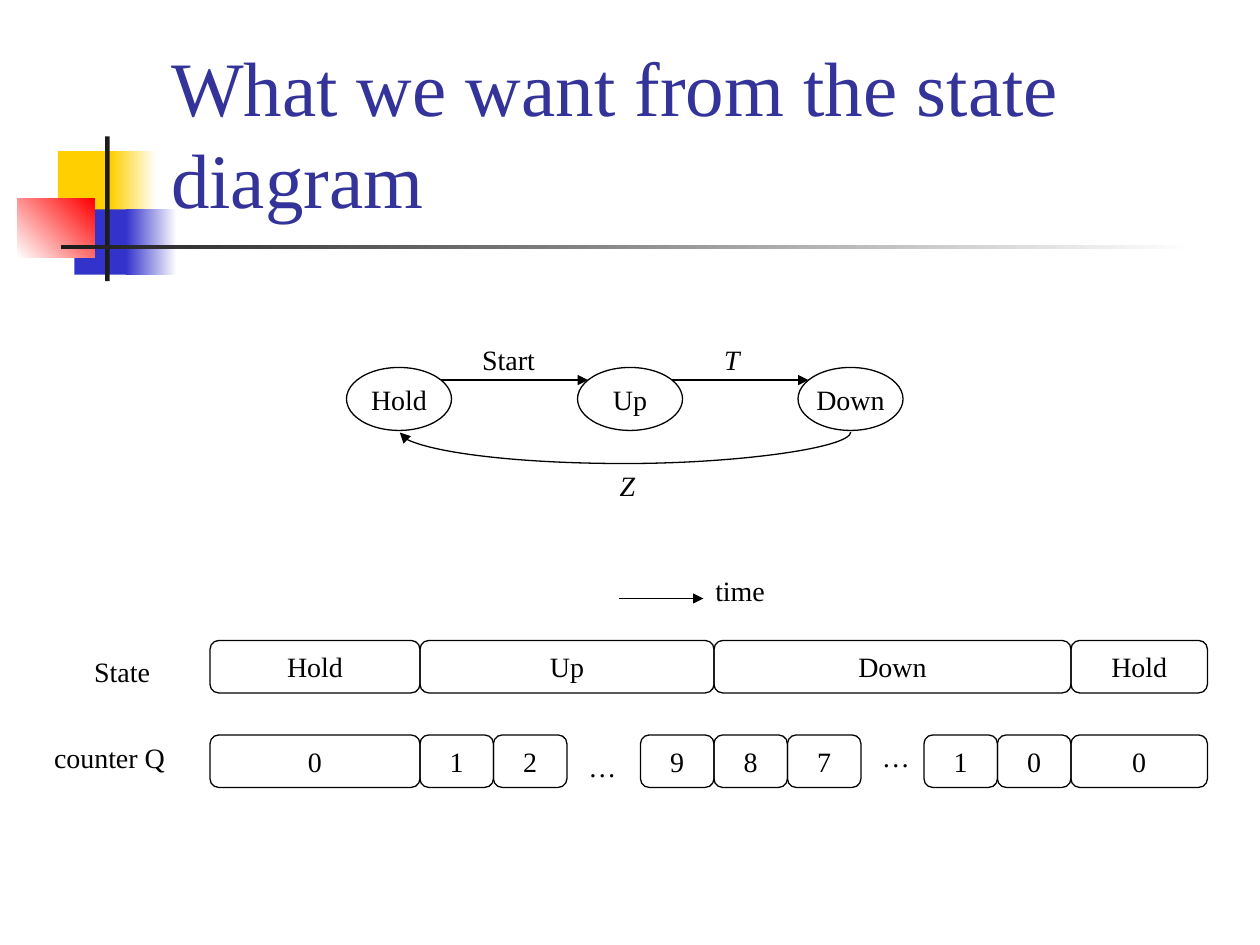
from lxml import etree
from pptx import Presentation
from pptx.dml.color import RGBColor
from pptx.enum.shapes import MSO_CONNECTOR as CONN, MSO_SHAPE as SHAPE
from pptx.enum.text import MSO_ANCHOR as ANCHOR, MSO_AUTO_SIZE as AUTO, PP_ALIGN as ALIGN
from pptx.oxml.ns import qn
from pptx.util import Cm, Pt

GRID = 2.54 / 12  # the diagram sits on a grid of twelfths of an inch


def rgb(color):
    return RGBColor.from_string(color)


def grid(*units):
    return [n * GRID for n in units]


class Deck:
    font, size, ink, weight = "Times New Roman", 16, "000000", 0.75

    def __init__(self, width, height):
        self.prs = Presentation()
        self.prs.slide_width, self.prs.slide_height = Cm(width), Cm(height)
        self.s = self.prs.slides.add_slide(self.prs.slide_layouts[6])

    def add_run(self, sp, text, align=ALIGN.LEFT, **style):
        p = sp.text_frame.paragraphs[0]
        p.alignment = align
        r = p.add_run()
        r.text = text
        look = {"name": self.font, "size": Pt(self.size), **style}
        r.font.color.rgb = rgb(look.pop("color", self.ink))
        for key, value in look.items():
            setattr(r.font, key, value)

    def format_frame(self, sp, **values):
        for key, value in values.items():
            setattr(sp.text_frame, key, value)

    def text(self, box, text, **style):
        sp = self.s.shapes.add_textbox(*map(Cm, box))
        self.format_frame(sp, word_wrap=False, auto_size=AUTO.SHAPE_TO_FIT_TEXT)
        self.add_run(sp, text, **style)

    def title(self, box, text, **style):
        sp = self.s.shapes.add_textbox(*map(Cm, box))
        self.format_frame(sp, word_wrap=True, auto_size=AUTO.NONE,
                          vertical_anchor=ANCHOR.BOTTOM)
        self.add_run(sp, text, **style)

    def block(self, box, *colors, angle=0):
        sp = self.s.shapes.add_shape(SHAPE.RECTANGLE, *map(Cm, box))
        sp.shadow.inherit = False
        sp.line.fill.background()
        if len(colors) == 1:
            sp.fill.solid()
            sp.fill.fore_color.rgb = rgb(colors[0])
        else:
            sp.fill.gradient()
            sp.fill.gradient_angle = angle
            for stop, color in zip(sp.fill.gradient_stops, colors):
                stop.color.rgb = rgb(color)

    def node(self, kind, box, text):
        sp = self.s.shapes.add_shape(kind, *map(Cm, box))
        sp.shadow.inherit = False
        sp.fill.background()
        sp.line.color.rgb, sp.line.width = rgb(self.ink), Pt(self.weight)
        self.format_frame(sp, word_wrap=False, vertical_anchor=ANCHOR.MIDDLE)
        self.add_run(sp, text, ALIGN.CENTER)

    def arrow(self, ends, kind=CONN.STRAIGHT):
        c = self.s.shapes.add_connector(kind, *map(Cm, ends))
        c.line.color.rgb, c.line.width = rgb(self.ink), Pt(self.weight)
        spPr = c.element.spPr
        etree.SubElement(spPr.find(qn("a:ln")), qn("a:tailEnd"), type="triangle")
        etree.SubElement(spPr, qn("a:effectLst"))
        return c

    def loop(self, ends, bend):
        """Curve turned a quarter, so that it hangs below both of its ends."""
        spPr = self.arrow(ends, CONN.CURVE).element.spPr
        spPr.find(qn("a:xfrm")).set("rot", "5400000")
        geom = spPr.find(qn("a:prstGeom"))
        guides = geom.find(qn("a:avLst"))
        if guides is None:
            guides = etree.SubElement(geom, qn("a:avLst"))
        etree.SubElement(guides, qn("a:gd"), name="adj1", fmla=f"val {bend}")


deck = Deck(25.4, 19.05)

# Corner decoration and title
for box, colors, angle in [
    ((1.17, 3.05, 1.22, 1.32), ["FFCF01"], 0),
    ((2.24, 3.05, 0.91, 1.32), ["FFCF01", "FFFFFF"], 0),
    ((1.5, 4.22, 1.17, 1.32), ["3333CC"], 0),
    ((2.54, 4.22, 1.02, 1.32), ["3333CC", "FFFFFF"], 0),
    ((0.35, 4.01, 1.56, 1.18), ["FFFFFF", "FF0000"], 45),
    ((2.12, 2.75, 0.09, 2.92), ["1C1C1C"], 0),
    ((1.23, 4.94, 22.86, 0.09), ["1C1C1C", "FFFFFF"], 0),
]:
    deck.block(box, *colors, angle=angle)
deck.title((3.2, 0.58, 21.64, 4.06), "What we want from the state diagram",
           size=Pt(44), color="333399")

# State diagram
for x, state in [(33, "Hold"), (55, "Up"), (76, "Down")]:
    deck.node(SHAPE.OVAL, grid(x, 35, 10, 6), state)
for x1, x2 in [(42, 56), (64, 77)]:
    deck.arrow(grid(x1, 36.2, x2, 36.2))
deck.loop((12.6, 4.17, 12.61, 13.26), 6350000)
deck.text((9.47, 6.78, 1.57, 0.94), "Start")
deck.text((14.35, 6.78, 0.81, 0.94), "T", italic=True)
deck.text((12.24, 9.32, 0.81, 0.94), "Z", italic=True)

# Time axis and row labels
deck.arrow(grid(59, 57, 67, 57))
deck.text((14.17, 11.43, 1.52, 0.94), "time")
deck.text((1.65, 13.08, 1.65, 0.94), "State")
deck.text((0.84, 14.81, 2.77, 0.94), "counter Q")

# Timeline rows: width and text of each cell, None for a gap
STATES = [(20, "Hold"), (28, "Up"), (34, "Down"), (13, "Hold")]
COUNTS = [(20, "0"), (7, "1"), (7, "2"), (7, None), (7, "9"), (7, "8"),
          (7, "7"), (6, None), (7, "1"), (7, "0"), (13, "0")]
for y, cells in [(61, STATES), (70, COUNTS)]:
    x = 20
    for width, label in cells:
        if label:
            deck.node(SHAPE.ROUNDED_RECTANGLE, grid(x, y, width, 5), label)
        x += width
for x, y in [(11.61, 14.99), (17.53, 14.78)]:
    deck.text((x, y, 1.07, 0.94), "…")

deck.prs.save("out.pptx")
